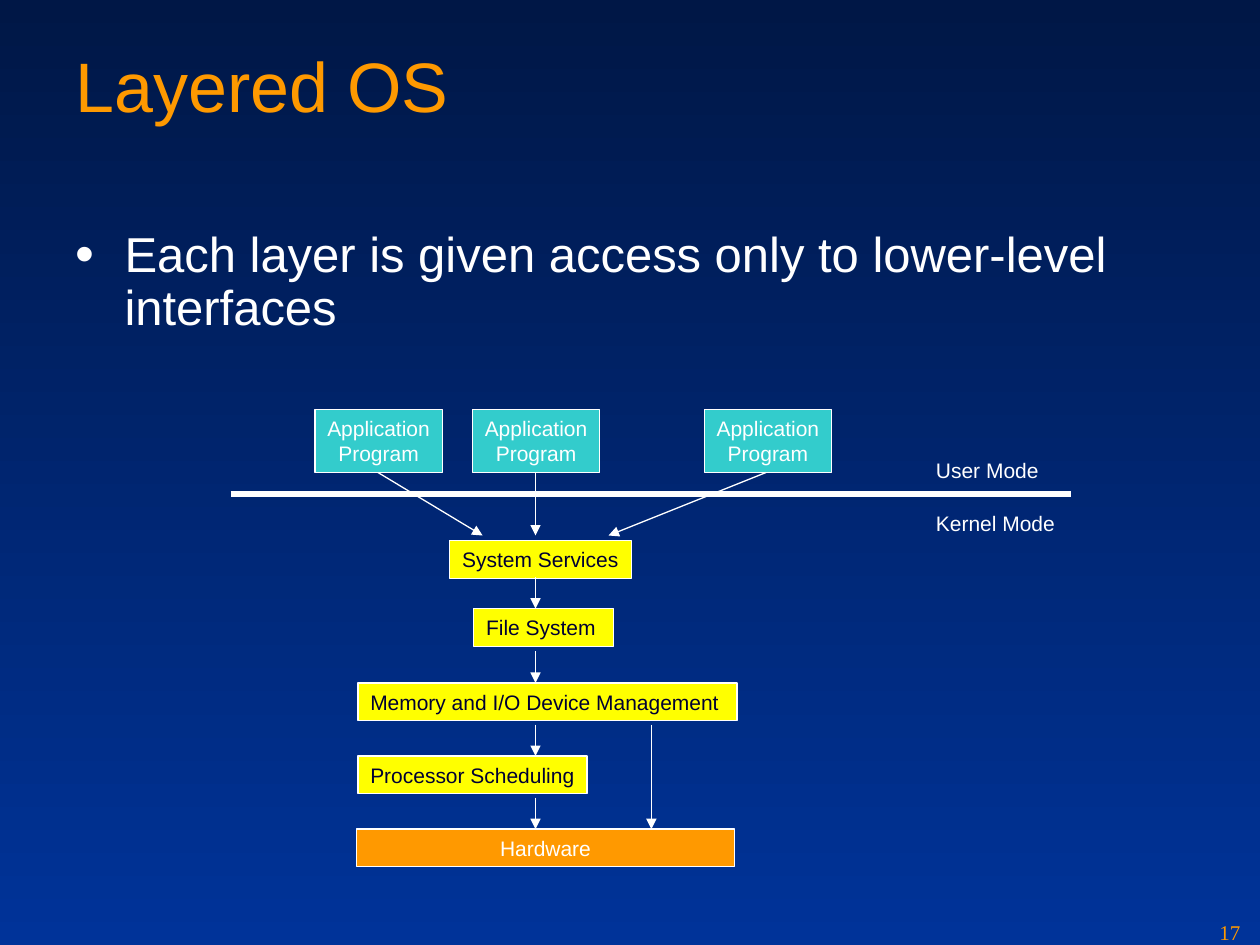
from lxml import etree
from pptx import Presentation
from pptx.dml.color import RGBColor
from pptx.enum import shapes, text
from pptx.oxml import ns
from pptx.util import Inches, Pt

NIGHT = RGBColor(0x00, 0x17, 0x46)
BLUE = RGBColor(0x00, 0x33, 0x99)
TITLE_ORANGE = RGBColor(0xFE, 0x99, 0x00)
ORANGE = RGBColor(0xFF, 0x99, 0x00)
TEAL = RGBColor(0x33, 0xCC, 0xCC)
YELLOW = RGBColor(0xFF, 0xFF, 0x00)
INK = RGBColor(0x00, 0x00, 0x33)
WHITE = RGBColor(0xFF, 0xFF, 0xFF)

TITLE = "Layered OS"
POINT = "Each layer is given access only to lower-level interfaces"
PAGE_NUMBER = "17"
PROGRAM = "Application\nProgram"
PROGRAM_LEFTS = [2.5, 3.75, 5.59]
LAYERS = [
    ("System Services", 3.57, 4.29, 1.44),
    ("File System", 3.76, 4.83, 1.11),
    ("Memory and I/O Device Management", 2.84, 5.42, 3.01),
    ("Processor Scheduling", 2.84, 6, 1.82),
]
HARDWARE = ("Hardware", 2.83, 6.58, 3)
MODES = [("User Mode", 3.58, 1.01), ("Kernel Mode", 4, 1.14)]
MODE_LEFT = 7.33
ROW_HEIGHT = 0.3
AXIS = 4.25
BOUNDARY = (1.83, 3.92, 8.5, 3.92)
CALLS = [(3, 3.75, 3.83, 4.25), (AXIS, 3.75, AXIS, 4.25), (6.08, 3.75, 4.83, 4.25)]
STEP_ENDS = [4.83, 5.42, 6, 6.58]
STEP_LENGTH = 0.25
BYPASS = (5.17, 5.75, 5.17, 6.58)


def add_text(page, words, place, size=12, color=WHITE, font="Arial", fill=None,
             centred=False, top_inset=0.05, bullet=None):
    area = [Inches(length) for length in place]
    if fill is None:
        box = page.shapes.add_textbox(*area)
    else:
        box = page.shapes.add_shape(shapes.MSO_SHAPE.RECTANGLE, *area)
        box.shadow.inherit = False
        box.fill.solid()
        box.fill.fore_color.rgb = fill
        box.line.color.rgb = WHITE
        box.line.width = Pt(0.75)
    frame = box.text_frame
    frame.word_wrap = True
    frame.auto_size = text.MSO_AUTO_SIZE.NONE
    frame.vertical_anchor = text.MSO_ANCHOR.TOP
    frame.margin_left = Inches(0 if centred else 0.1)
    frame.margin_right = 0
    frame.margin_top = Inches(top_inset)
    frame.margin_bottom = Inches(0.05)
    frame.text = words
    for para in frame.paragraphs:
        para.alignment = text.PP_ALIGN.CENTER if centred else text.PP_ALIGN.LEFT
        if bullet:
            para.line_spacing = 0.9
            layout = para._p.get_or_add_pPr()
            layout.set("marL", str(Inches(0.39)))
            layout.set("indent", str(-Inches(0.39)))
            etree.SubElement(layout, ns.qn("a:buSzPct"), val="110000")
            etree.SubElement(layout, ns.qn("a:buFont"), typeface="Arial")
            etree.SubElement(layout, ns.qn("a:buChar"), char=bullet)
        para.font.size = Pt(size)
        para.font.name = font
        para.font.color.rgb = color


def add_line(page, ends, width=0.75, arrow=True):
    line = page.shapes.add_connector(
        shapes.MSO_CONNECTOR.STRAIGHT, *[Inches(length) for length in ends])
    line.line.color.rgb = WHITE
    line.line.width = Pt(width)
    if arrow:
        etree.SubElement(line.line._get_or_add_ln(), ns.qn("a:tailEnd"), type="triangle")
    etree.SubElement(line._element.spPr, ns.qn("a:effectLst"))


def main():
    deck = Presentation()
    deck.slide_width, deck.slide_height = Inches(10), Inches(7.5)
    page = deck.slides.add_slide(deck.slide_layouts[6])
    backdrop = page.background.fill
    backdrop.gradient()
    backdrop.gradient_angle = 270
    for stop, color in zip(backdrop.gradient_stops, (NIGHT, BLUE)):
        stop.color.rgb = color

    add_text(page, TITLE, (0.5, 0.24, 9, 1.25), size=40, color=TITLE_ORANGE, top_inset=0.1)
    add_text(page, POINT, (0.5, 1.78, 9, 1.01), size=28, bullet="•")
    for left in PROGRAM_LEFTS:
        add_text(page, PROGRAM, (left, 3.25, 1.01, 0.5), fill=TEAL, centred=True)
    add_line(page, BOUNDARY, width=3, arrow=False)
    for name, left, top, width in LAYERS:
        add_text(page, name, (left, top, width, ROW_HEIGHT), color=INK, fill=YELLOW)
    name, left, top, width = HARDWARE
    add_text(page, name, (left, top, width, ROW_HEIGHT), fill=ORANGE, centred=True)
    steps = [(AXIS, end - STEP_LENGTH, AXIS, end) for end in STEP_ENDS]
    for ends in CALLS + steps + [BYPASS]:
        add_line(page, ends)
    for name, top, width in MODES:
        add_text(page, name, (MODE_LEFT, top, width, ROW_HEIGHT))
    add_text(page, PAGE_NUMBER, (9.58, 7.25, 0.42, 0.25), color=TITLE_ORANGE,
             font="Times New Roman")
    deck.save("out.pptx")


if __name__ == "__main__":
    main()
